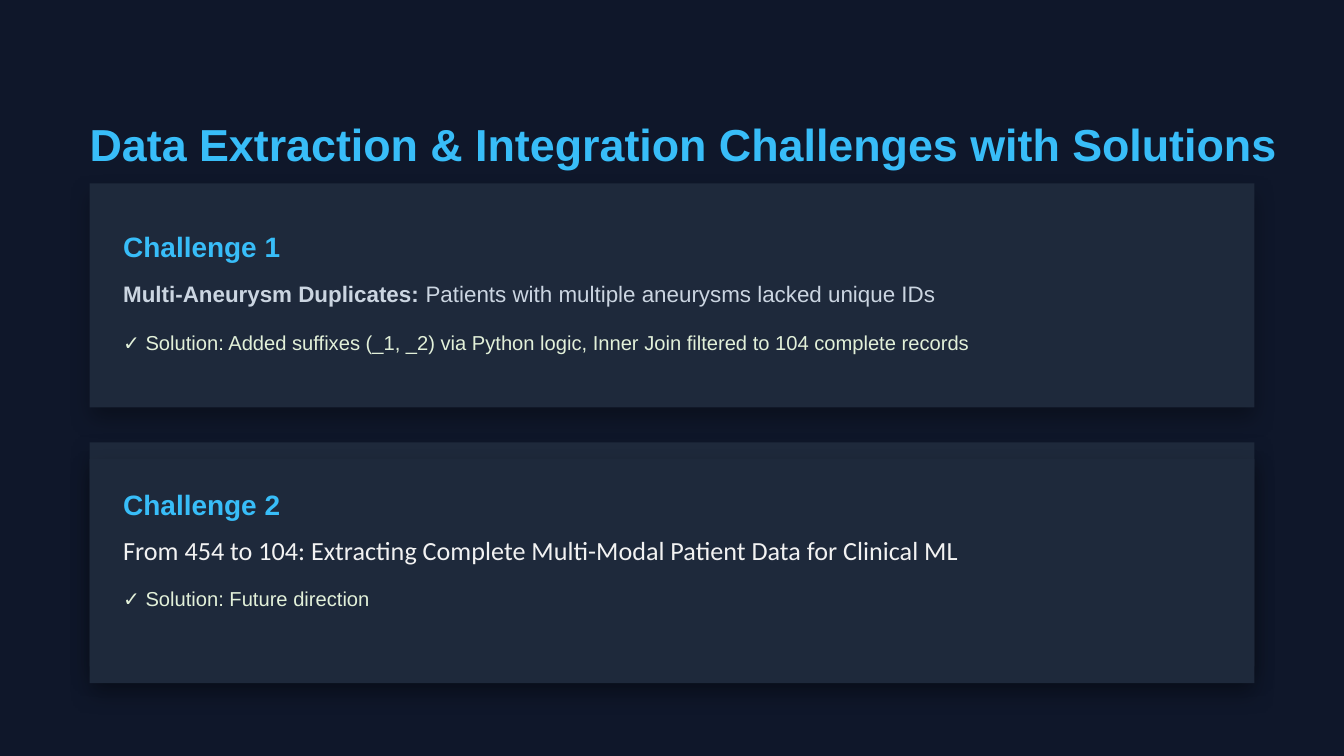
from lxml import etree
from pptx import Presentation
from pptx.dml.color import RGBColor
from pptx.enum import shapes, text
from pptx.oxml import parse_xml
from pptx.util import Pt

PX = 9525  # EMU per px, 96 px to the inch

THEME = {
    "page": "0F172A",
    "card": "1E293B",
    # style: font, size, colour, bold, line spacing
    "title": ("Arial", 24, "38BDF8", True, 43.2),
    "heading": ("Arial", 15, "38BDF8", True, 24),
    "label": ("Arial", 12, "CBD5E1", True, 21.3),
    "body": ("Arial", 12, "CBD5E1", False, 21.3),
    "lead": ("Calibri", 14, "F2F2F2", False, 24),
    "solution": ("Arial", 10.8, "E2F0D9", False, 20.2),
}

SHADOW = (
    '<a:effectLst xmlns:a="http://schemas.openxmlformats.org/drawingml/2006/main">'
    f'<a:outerShdw blurRad="{Pt(12)}" dist="{Pt(6)}" dir="5400000" algn="ctr" rotWithShape="0">'
    '<a:srgbClr val="000000"><a:alpha val="30000"/></a:srgbClr>'
    "</a:outerShdw></a:effectLst>"
)


def add_card(page, top):
    card = page.shapes.add_shape(
        shapes.MSO_SHAPE.RECTANGLE, 64 * PX, top * PX, 832 * PX, 160 * PX
    )
    card.fill.solid()
    card.fill.fore_color.rgb = RGBColor.from_string(THEME["card"])
    card.line.fill.background()
    card._element.spPr.append(parse_xml(SHADOW))


def add_text(page, left, top, width, height, paragraphs):
    """Each paragraph is a list of (style, wording) spans."""
    box = page.shapes.add_textbox(left * PX, top * PX, width * PX, height * PX)
    frame = box.text_frame
    frame.word_wrap = True
    frame.margin_left = frame.margin_right = 0
    frame.margin_top = frame.margin_bottom = 0
    frame.vertical_anchor = text.MSO_ANCHOR.TOP
    for index, spans in enumerate(paragraphs):
        para = frame.add_paragraph() if index else frame.paragraphs[0]
        for style, wording in spans:
            font, size, colour, bold, spacing = THEME[style]
            para.line_spacing = Pt(spacing)
            span = para.add_run()
            span.text = wording
            span.font.name = font
            span.font.size = Pt(size)
            span.font.bold = bold
            span.font.color.rgb = RGBColor.from_string(colour)


deck = Presentation()
deck.slide_width, deck.slide_height = 960 * PX, 540 * PX
page = deck.slides.add_slide(deck.slide_layouts[6])
page.background.fill.solid()
page.background.fill.fore_color.rgb = RGBColor.from_string(THEME["page"])

# Cards: the lower one is two overlapping panels
for top in (131, 316, 328):
    add_card(page, top)

# Title
add_text(page, 64, 64, 849, 43,
         [[("title", "Data Extraction & Integration Challenges with Solutions")]])

# Card wording: top, height, paragraphs
card_texts = [
    (156, 24, [[("heading", "Challenge 1")]]),
    (191, 21, [[("label", "Multi-Aneurysm Duplicates:"),
                ("body", " Patients with multiple aneurysms lacked unique IDs")]]),
    (226, 20, [[("solution", "✓ Solution: Added suffixes (_1, _2) via Python logic, "
                             "Inner Join filtered to 104 complete records")]]),
    (340, 24, [[("heading", "Challenge 2")],
               [("lead", "From 454 to 104: Extracting Complete Multi-Modal "
                         "Patient Data for Clinical ML")]]),
    (409, 20, [[("solution", "✓ Solution: Future direction")]]),
]
for top, height, paragraphs in card_texts:
    add_text(page, 88, top, 800, height, paragraphs)

deck.save("out.pptx")
